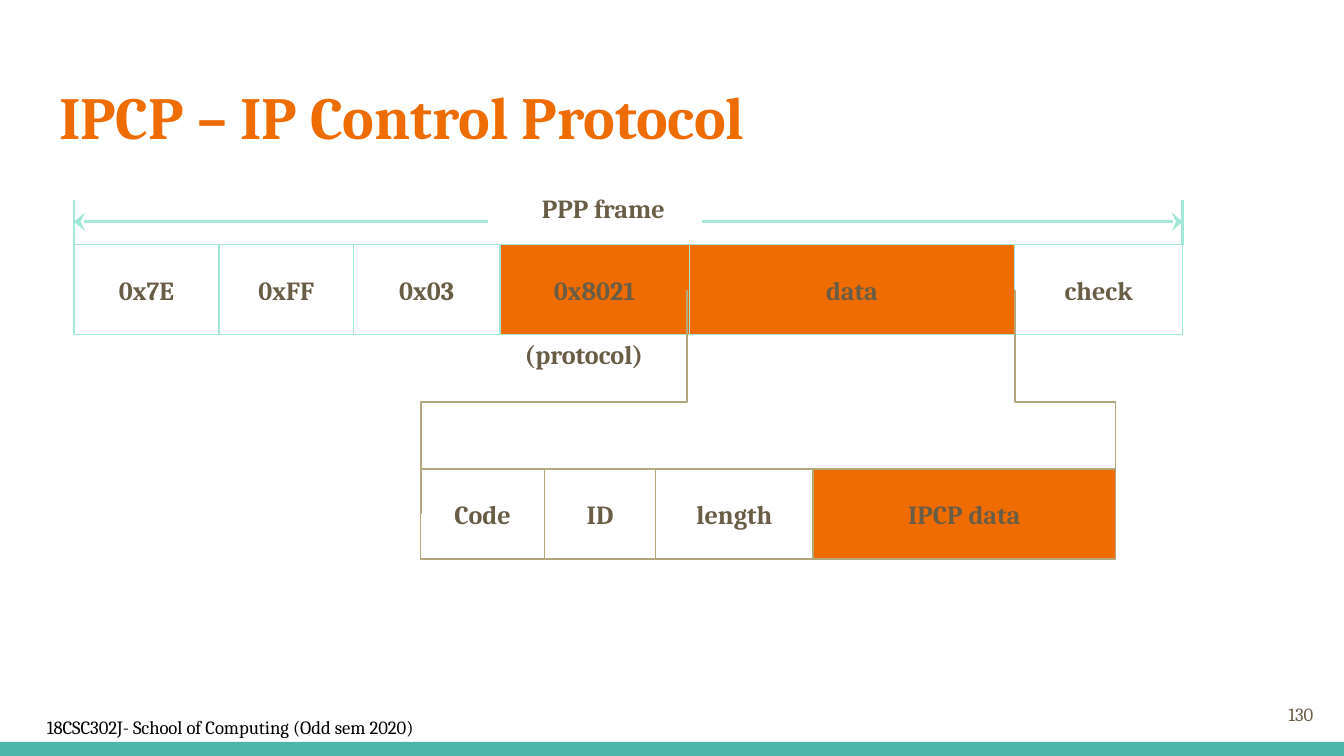
"""Build a slide showing how an IPCP packet is carried in a PPP frame."""
from itertools import pairwise

from lxml.etree import SubElement
from pptx import Presentation
from pptx.dml.color import RGBColor
from pptx.enum.shapes import MSO_CONNECTOR, MSO_SHAPE
from pptx.enum.text import MSO_ANCHOR as Anchor, PP_ALIGN as Align
from pptx.oxml.ns import qn
from pptx.util import Inches, Pt

ORANGE = RGBColor(0xEF, 0x6C, 0x00)
TEAL = RGBColor(0x4D, 0xB6, 0xAC)
MINT = RGBColor(0xA1, 0xE8, 0xD9)
SAND = RGBColor(0xB3, 0xA7, 0x7D)
BROWN = RGBColor(0x69, 0x5D, 0x46)
BLACK = RGBColor(0, 0, 0)
FONT = "Cambria"

TITLE = "IPCP – IP Control Protocol"
FOOTER = "18CSC302J- School of Computing (Odd sem 2020)"
PAGE = "130"
FRAME_FIELDS = ["0x7E", "0xFF", "0x03", "0x8021", "data", "check"]
FRAME_EDGES = [0.55, 1.63, 2.63, 3.72, 5.13, 7.55, 8.8]
PACKET_FIELDS = ["Code", "ID", "length", "IPCP data"]
PACKET_EDGES = [3.13, 4.05, 4.88, 6.05, 8.3]
HIGHLIGHTED = {"0x8021", "data", "IPCP data"}
FRAME_TOP, PACKET_TOP, ROW_HEIGHT = 1.82, 3.49, 0.67
DIMENSION_Y, TICK_TOP = 1.65, 1.49
LABEL_GAP = (3.63, 5.22)


def write(shape, text, size, color, align, anchor, bold=False, inset=0.1):
    frame = shape.text_frame
    frame.text = text
    frame.vertical_anchor = anchor
    frame.margin_left = frame.margin_right = Inches(inset)
    frame.margin_top = frame.margin_bottom = Inches(inset)
    paragraph = frame.paragraphs[0]
    paragraph.alignment = align
    font = paragraph.font
    font.name, font.size, font.bold = FONT, Pt(size), bold
    font.color.rgb = color
    return frame


def add_text(slide, box, text, *style, **options):
    label = slide.shapes.add_textbox(*map(Inches, box))
    write(label, text, *style, **options).word_wrap = True


def add_row(slide, fields, edges, top, line_color):
    for field, (left, right) in zip(fields, pairwise(edges)):
        cell = slide.shapes.add_shape(
            MSO_SHAPE.RECTANGLE, Inches(left), Inches(top),
            Inches(right - left), Inches(ROW_HEIGHT))
        cell.shadow.inherit = False
        if field in HIGHLIGHTED:
            cell.fill.solid()
            cell.fill.fore_color.rgb = ORANGE
        else:
            cell.fill.background()
        cell.line.color.rgb = line_color
        cell.line.width = Pt(0.75)
        write(cell, field, 14, BROWN, Align.CENTER, Anchor.MIDDLE,
              bold=True, inset=0.05).word_wrap = False


def add_line(slide, start, end, arrow=False):
    line = slide.shapes.add_connector(
        MSO_CONNECTOR.STRAIGHT, *map(Inches, start + end))
    line.line.color.rgb = MINT
    line.line.width = Pt(1.5)
    properties = line._element.spPr
    if arrow:
        SubElement(properties.find(qn("a:ln")), qn("a:tailEnd"),
                   type="stealth", w="lg", len="med")
    SubElement(properties, qn("a:effectLst"))


def add_bracket(slide, upper_x, lower_x):
    top = FRAME_TOP + ROW_HEIGHT / 2
    bottom = PACKET_TOP + ROW_HEIGHT / 2
    middle = (top + bottom) / 2
    builder = slide.shapes.build_freeform(
        Inches(upper_x), Inches(top), scale=1.0)
    builder.add_line_segments(
        [(Inches(x), Inches(y)) for x, y in
         [(upper_x, middle), (lower_x, middle), (lower_x, bottom)]],
        close=False)
    bracket = builder.convert_to_shape()
    bracket.shadow.inherit = False
    bracket.fill.background()
    bracket.line.color.rgb = SAND
    bracket.line.width = Pt(1)


def main():
    deck = Presentation()
    deck.slide_width = Inches(10)
    deck.slide_height = deck.slide_width * 9 // 16
    slide = deck.slides.add_slide(deck.slide_layouts[5])

    bar = slide.shapes.add_shape(
        MSO_SHAPE.RECTANGLE, 0, Inches(5.52), Inches(10), Inches(0.11))
    bar.shadow.inherit = False
    bar.fill.solid()
    bar.fill.fore_color.rgb = TEAL
    bar.line.fill.background()

    title = slide.shapes.title
    title.left, title.top = Inches(0.34), Inches(0.49)
    title.width, title.height = Inches(9.32), Inches(0.77)
    write(title, TITLE, 32, ORANGE, Align.LEFT, Anchor.TOP, bold=True)
    add_text(slide, (9.27, 5.1, 0.6, 0.43), PAGE, 10, BROWN,
             Align.RIGHT, Anchor.MIDDLE)
    add_text(slide, (0.25, 5.24, 3.61, 0.24), FOOTER, 10, BLACK,
             Align.LEFT, Anchor.TOP)

    add_row(slide, FRAME_FIELDS, FRAME_EDGES, FRAME_TOP, MINT)
    for gap_x, edge_x in zip(LABEL_GAP, (FRAME_EDGES[0], FRAME_EDGES[-1])):
        add_line(slide, (gap_x, DIMENSION_Y), (edge_x, DIMENSION_Y), arrow=True)
        add_line(slide, (edge_x, FRAME_TOP), (edge_x, TICK_TOP))
    for text, box in [("PPP frame", (3.45, 1.38, 2.08, 0.34)),
                      ("(protocol)", (2.97, 2.47, 2.75, 0.34))]:
        add_text(slide, box, text, 14, BROWN, Align.CENTER, Anchor.TOP,
                 bold=True, inset=0.05)

    add_row(slide, PACKET_FIELDS, PACKET_EDGES, PACKET_TOP, SAND)
    add_bracket(slide, 5.11, PACKET_EDGES[0])
    add_bracket(slide, FRAME_EDGES[5], PACKET_EDGES[-1])

    deck.save("out.pptx")


if __name__ == "__main__":
    main()
